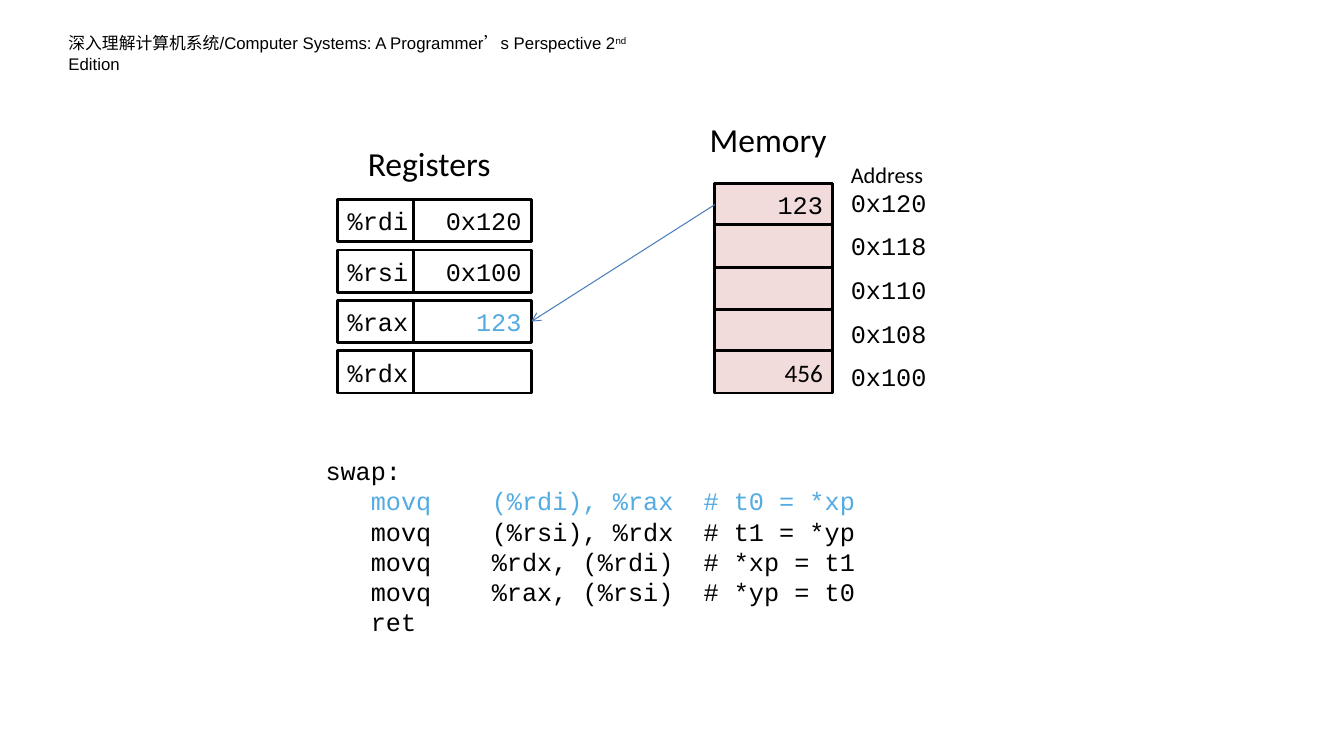
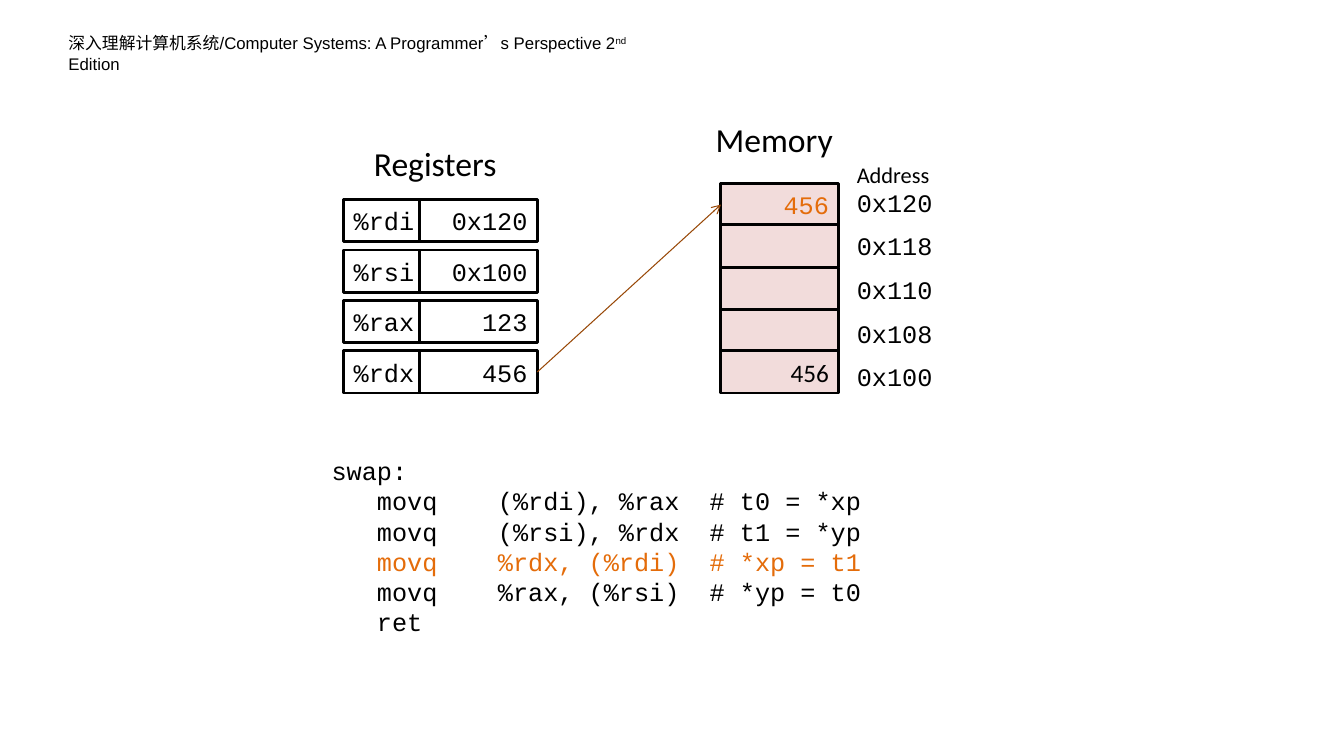
from lxml.etree import SubElement
from pptx import Presentation
from pptx.dml.color import RGBColor
from pptx.enum.shapes import MSO_CONNECTOR, MSO_SHAPE
from pptx.enum.text import MSO_ANCHOR, MSO_AUTO_SIZE, PP_ALIGN
from pptx.oxml.ns import qn
from pptx.util import Pt

PX = 9144  # 100 px to the inch
BLACK, WHITE, PINK = "000000", "FFFFFF", "F2DCDB"
BLUE, ORANGE = "53ABE2", "E46C0A"
MONO, SANS = "Courier New", "Calibri"
LEFT, RIGHT = 1, 3  # connection sites of a rectangle

HEAD = [
    ("深入理解计算机系统/Computer Systems: A Programmer’s Perspective 2", None),
    ("nd", "30000"),
    (" Edition", None),
]
REGS = ["%rdi", "%rsi", "%rax", "%rdx"]
ADDRS = ["0x120", "0x118", "0x110", "0x108", "0x100"]
CODE = [
    "swap:",
    "   movq    (%rdi), %rax  # t0 = *xp",
    "   movq    (%rsi), %rdx  # t1 = *yp",
    "   movq    %rdx, (%rdi)  # *xp = t1",
    "   movq    %rax, (%rsi)  # *yp = t0",
    "   ret",
]
# hot: the highlighted register, memory cell and code line
STEPS = [
    dict(shift=0, regs=["0x120", "0x100", "123", ""], top="123", color=BLUE,
         hot_reg=2, hot_cell=None, hot_line=1, load=True, arrow="4B7EBC"),
    dict(shift=6, regs=["0x120", "0x100", "123", "456"], top="456", color=ORANGE,
         hot_reg=None, hot_cell=0, hot_line=3, load=False, arrow="984807"),
]
SOURCE_REG = 3  # register that is stored on the second step


def rgb(value):
    return RGBColor.from_string(value)


def add_run(para, text, size=18, font=MONO, color=BLACK):
    run = para.add_run()
    run.text = text
    run.font.size, run.font.name = Pt(size), font
    run.font.color.rgb = rgb(color)
    return run


def add_box(shapes, x, y, w, h, wrap=True):
    """Add an empty text box and return it."""
    box = shapes.add_textbox(x * PX, y * PX, w * PX, h * PX)
    box.text_frame.word_wrap = wrap
    box.text_frame.auto_size = MSO_AUTO_SIZE.SHAPE_TO_FIT_TEXT
    return box


def label(shapes, text, x, y, w, h, size, font=SANS, wrap=True):
    box = add_box(shapes, x, y, w, h, wrap)
    add_run(box.text_frame.paragraphs[0], text, size, font)


def cell(shapes, text, x, y, w, fill=WHITE, color=BLACK, font=MONO,
         align=PP_ALIGN.RIGHT):
    """Add one framed cell of a register or of memory."""
    rect = shapes.add_shape(MSO_SHAPE.RECTANGLE, x * PX, y * PX, w * PX, 42 * PX)
    rect.shadow.inherit = False
    rect.fill.solid()
    rect.fill.fore_color.rgb = rgb(fill)
    rect.line.color.rgb = rgb(BLACK)
    rect.line.width = Pt(2)
    if text:
        frame = rect.text_frame
        frame.word_wrap = False
        frame.vertical_anchor = MSO_ANCHOR.MIDDLE
        frame.paragraphs[0].alignment = align
        add_run(frame.paragraphs[0], text, color=color, font=font)
    return rect


def add_arrow(shapes, start, start_site, end, end_site, color):
    line = shapes.add_connector(MSO_CONNECTOR.STRAIGHT, 0, 0, 0, 0)
    line.begin_connect(start, start_site)
    line.end_connect(end, end_site)
    line.line.color.rgb = rgb(color)
    line.line.width = Pt(0.75)
    props = line.element.spPr
    SubElement(props.find(qn("a:ln")), qn("a:tailEnd"), type="arrow")
    SubElement(props, qn("a:effectLst"))


def add_code(shapes, x, hot, color):
    frame = add_box(shapes, x, 447, 642, 192).text_frame
    for i, text in enumerate(CODE):
        para = frame.paragraphs[0] if i == 0 else frame.add_paragraph()
        add_run(para, text, color=color if i == hot else BLACK)


def add_head(layout, slide):
    """Build the running head and move it to the layout all slides share."""
    box = add_box(slide.shapes, 58, 28, 628, 30)
    for text, raised in HEAD:
        run = add_run(box.text_frame.paragraphs[0], text, 12, "Arial")
        if raised:
            run.font._element.set("baseline", raised)
    box.element.nvSpPr.cNvPr.set("id", "99")
    layout.shapes.element.append(box.element)


def add_step(slide, step):
    shapes, dx, color = slide.shapes, step["shift"], step["color"]

    cells = []
    for i in range(len(ADDRS)):
        text = {0: step["top"], len(ADDRS) - 1: "456"}.get(i, "")
        cells.append(cell(shapes, text, 709 + dx, 182 + i * 125 // 3, 117, PINK,
                          color if i == step["hot_cell"] else BLACK,
                          MONO if i == 0 else SANS))

    group, values = shapes.add_group_shape().shapes, []
    for i, (name, value) in enumerate(zip(REGS, step["regs"])):
        y = 198 + i * 50
        cell(group, name, 335 + dx, y, 75, align=PP_ALIGN.LEFT)
        values.append(cell(group, value, 410 + dx, y, 117,
                           color=color if i == step["hot_reg"] else BLACK))

    label(shapes, "Registers", 355 + dx, 137, 148, 50, 24, wrap=False)
    label(shapes, "Memory", 694 + dx, 113, 140, 50, 24, wrap=False)

    group = shapes.add_group_shape().shapes
    for i, addr in enumerate(ADDRS):
        label(group, addr, 834 + dx, 181 + i * 130 // 3, 133, 40, 18, MONO)
    label(group, "Address", 834 + dx, 155, 133, 37, 16)

    add_code(shapes, 313 + dx, step["hot_line"], color)
    if step["load"]:
        add_arrow(shapes, cells[0], LEFT, values[step["hot_reg"]], RIGHT, step["arrow"])
    else:
        add_arrow(shapes, values[SOURCE_REG], RIGHT, cells[0], LEFT, step["arrow"])


def main():
    deck = Presentation()
    deck.slide_width, deck.slide_height = 1333 * PX, 750 * PX
    blank = deck.slide_layouts[6]
    for i, step in enumerate(STEPS):
        slide = deck.slides.add_slide(blank)
        if i == 0:
            add_head(blank, slide)
        add_step(slide, step)
    deck.save("out.pptx")


if __name__ == "__main__":
    main()
